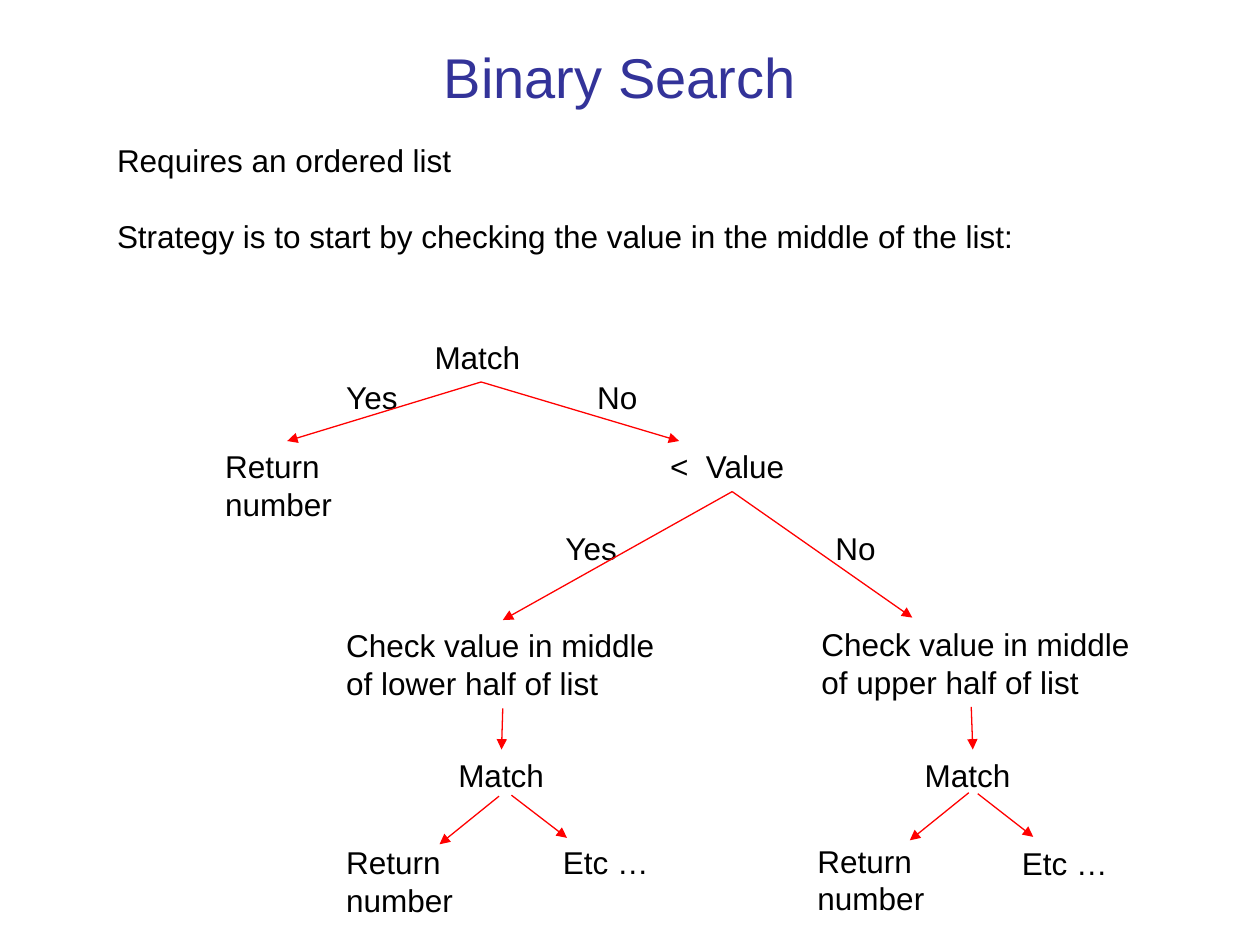
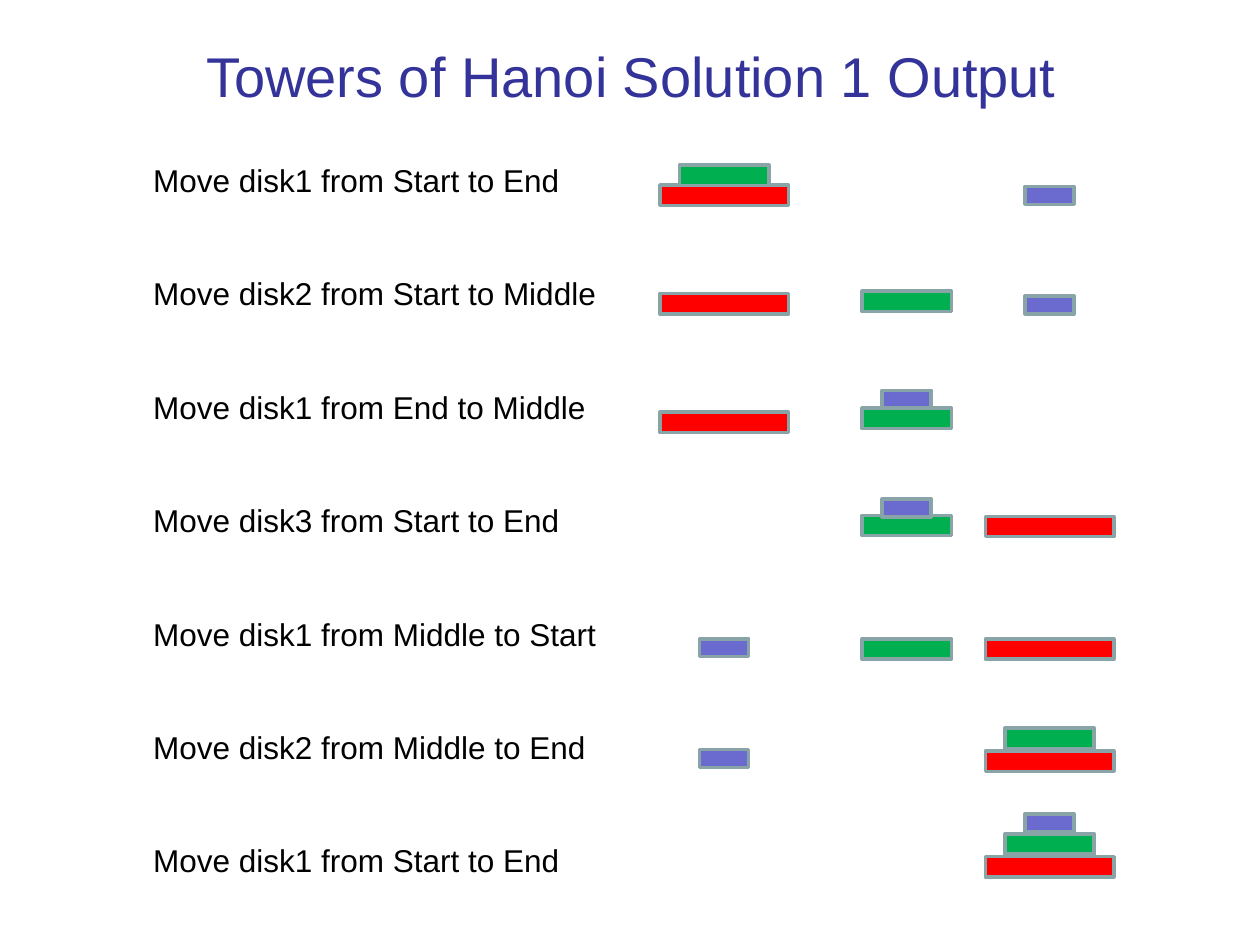
from dataclasses import dataclass

from lxml.etree import SubElement
from pptx import Presentation
from pptx.dml.color import RGBColor
from pptx.enum.shapes import MSO_CONNECTOR, MSO_SHAPE
from pptx.enum.text import MSO_ANCHOR, PP_ALIGN
from pptx.oxml.ns import qn
from pptx.util import Cm, Pt


@dataclass(frozen=True)
class Theme:
    """Colours, font and type sizes shared by the slides."""

    font: str = "Arial"
    title_size: int = 32
    body_size: int = 18
    leading: float = 1.2
    title: str = "333399"
    body: str = "000000"
    arrow: str = "FF0000"
    arrow_width: float = 0.75
    disk_edge: str = "89A4A7"
    disk_edge_width: int = 2


@dataclass(frozen=True)
class Disk:
    """Size in centimetres and colour of a Hanoi disk."""

    width: float
    height: float
    color: str


THEME = Theme()
ONE_LINE, TWO_LINES = 1.02, 1.78
TOP, BOTTOM = 0, 2

DISKS = (Disk(2.59, 0.41, "FF0000"), Disk(1.8, 0.41, "00B050"), Disk(0.99, 0.36, "6B6BCF"))
PEG_CENTERS = {"Start": 14.6, "Middle": 18.28, "End": 21.16}
MOVES = (
    ("Move disk1 from Start to End", ("Start", 3.73), ("Start", 3.33), ("End", 3.76)),
    ("Move disk2 from Start to Middle", ("Start", 5.92), ("Middle", 5.87), ("End", 5.97)),
    ("Move disk1 from End to Middle", ("Start", 8.31), ("Middle", 8.23), ("Middle", 7.87)),
    ("Move disk3 from Start to End", ("End", 10.41), ("Middle", 10.39), ("Middle", 10.06)),
    ("Move disk1 from Middle to Start", ("End", 12.88), ("Middle", 12.88), ("Start", 12.88)),
    ("Move disk2 from Middle to End", ("End", 15.14), ("End", 14.68), ("Start", 15.11)),
    ("Move disk1 from Start to End", ("End", 17.27), ("End", 16.81), ("End", 16.41)),
)

TREE_TEXTS = {
    "upper match": ("Match", 18.39, 15.11, 3.2, ONE_LINE),
    "found": ("Return number", 4.29, 8.89, 3, TWO_LINES),
    "compare": ("<  Value", 13.26, 8.89, 3, ONE_LINE),
    "lower half": ("Check value in middle\nof lower half of list", 6.73, 12.5, 6.81, TWO_LINES),
    "upper half": ("Check value in middle of upper half of list", 16.31, 12.47, 6.81, TWO_LINES),
    "lower match": ("Match", 8.99, 15.11, 3.2, ONE_LINE),
    "root match": ("Match", 8.51, 6.68, 3.2, ONE_LINE),
    "root yes": ("Yes", 6.73, 7.49, 1.7, ONE_LINE),
    "compare yes": ("Yes", 11.15, 10.54, 1.7, ONE_LINE),
    "root no": ("No", 11.79, 7.49, 1.5, ONE_LINE),
    "compare no": ("No", 16.59, 10.54, 1.5, ONE_LINE),
    "lower rest": ("Etc …", 11.1, 16.87, 2.29, ONE_LINE),
    "upper rest": ("Etc …", 20.35, 16.89, 2.29, ONE_LINE),
    "lower found": ("Return number", 6.73, 16.87, 3, TWO_LINES),
    "upper found": ("Return number", 16.23, 16.84, 3, TWO_LINES),
}
ROOT = (9.7, 7.7)
TREE_ARROWS = (
    (ROOT, "found"),
    (ROOT, (13.69, 8.89)),
    ("compare", "lower half"),
    ("compare", (18.39, 12.45)),
    ("lower half", (10.11, 15.11)),
    ((19.58, 14.25), (19.61, 15.11)),
    ((10.06, 16.05), (8.86, 17.02)),
    ((19.53, 15.98), (18.34, 16.94)),
    ((10.31, 16.03), (11.43, 16.89)),
    ((19.71, 16), (20.83, 16.87)),
)


def add_text(slide, text, left, top, width, height, size=THEME.body_size,
             color=THEME.body, align=PP_ALIGN.LEFT, anchor=MSO_ANCHOR.TOP, gap=0):
    """Add a text box with one paragraph per line and a gap in points between them."""
    box = slide.shapes.add_textbox(Cm(left), Cm(top), Cm(width), Cm(height))
    frame = box.text_frame
    frame.word_wrap = True
    frame.vertical_anchor = anchor
    frame.text = text
    for index, paragraph in enumerate(frame.paragraphs):
        paragraph.alignment = align
        paragraph.line_spacing = Pt(size * THEME.leading)
        paragraph.space_before = Pt(gap if index else 0)
        font = paragraph.runs[0].font
        font.name, font.size = THEME.font, Pt(size)
        font.color.rgb = RGBColor.from_string(color)
    return box


def add_title(slide, text, left, top, width, height):
    """Add a centred slide title."""
    add_text(slide, text, left, top, width, height, size=THEME.title_size,
             color=THEME.title, align=PP_ALIGN.CENTER, anchor=MSO_ANCHOR.MIDDLE)


def add_arrow(slide, start, end, nodes):
    """Draw an arrow between points or named nodes, joining it to the nodes."""
    begin_point = (0, 0) if start in nodes else start
    end_point = (0, 0) if end in nodes else end
    arrow = slide.shapes.add_connector(
        MSO_CONNECTOR.STRAIGHT, *(Cm(value) for value in (*begin_point, *end_point)))
    if start in nodes:
        arrow.begin_connect(nodes[start], BOTTOM)
    if end in nodes:
        arrow.end_connect(nodes[end], TOP)
    arrow.line.color.rgb = RGBColor.from_string(THEME.arrow)
    arrow.line.width = Pt(THEME.arrow_width)
    SubElement(arrow.line._get_or_add_ln(), qn("a:tailEnd"), type="triangle")
    SubElement(arrow._element.spPr, qn("a:effectLst"))


def add_disk(slide, disk, peg, top):
    """Draw a disk centred on its peg."""
    left = PEG_CENTERS[peg] - disk.width / 2
    bar = slide.shapes.add_shape(
        MSO_SHAPE.RECTANGLE, Cm(left), Cm(top), Cm(disk.width), Cm(disk.height))
    bar.shadow.inherit = False
    bar.fill.solid()
    bar.fill.fore_color.rgb = RGBColor.from_string(disk.color)
    bar.line.color.rgb = RGBColor.from_string(THEME.disk_edge)
    bar.line.width = Pt(THEME.disk_edge_width)


def build_binary_search(slide):
    """Build the binary search decision tree."""
    add_title(slide, "Binary Search", 3.1, 0.71, 18.8, 1.63)
    add_text(slide, "Requires an ordered list\n"
             "Strategy is to start by checking the value in the middle of the list:",
             2.11, 2.72, 22.4, 3.3, gap=THEME.body_size * THEME.leading)
    nodes = {name: add_text(slide, *node) for name, node in TREE_TEXTS.items()}
    for start, end in TREE_ARROWS:
        add_arrow(slide, start, end, nodes)


def build_hanoi(slide):
    """Build the list of Hanoi moves and the disks after each move."""
    add_title(slide, "Towers of Hanoi Solution 1 Output", 1.3, 0.53, 22.86, 1.96)
    add_text(slide, "\n".join(move for move, *_ in MOVES), 2.84, 3.12, 10.21, 15.49,
             gap=2 * THEME.body_size * THEME.leading)
    for _, *places in MOVES:
        for disk, (peg, top) in zip(DISKS, places):
            add_disk(slide, disk, peg, top)


def main():
    """Build and save the presentation."""
    deck = Presentation()
    deck.slide_width, deck.slide_height = Cm(25.4), Cm(19.05)
    blank = deck.slide_layouts[6]
    for build in (build_binary_search, build_hanoi):
        build(deck.slides.add_slide(blank))
    deck.save("out.pptx")


if __name__ == "__main__":
    main()
